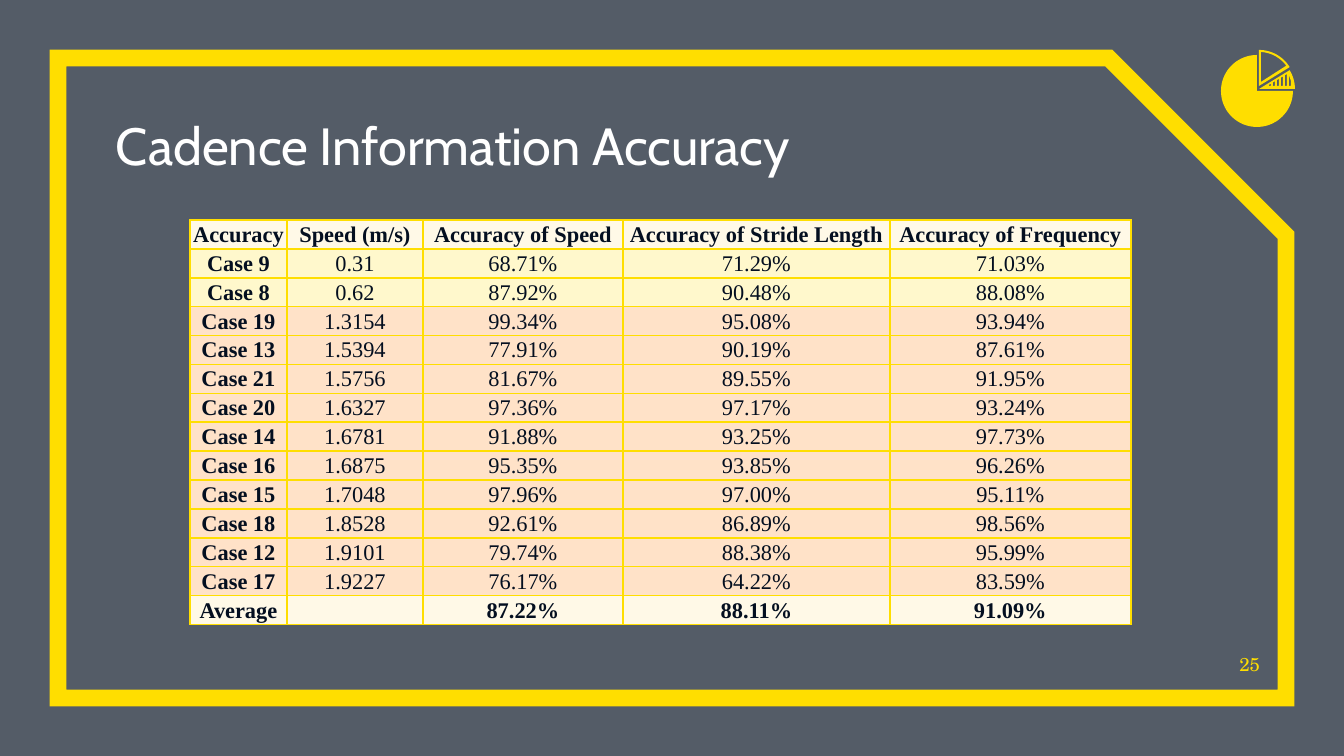
import math

import lxml.etree
import pptx
import pptx.dml.color
import pptx.enum.shapes
import pptx.enum.text
import pptx.oxml
import pptx.oxml.ns
import pptx.util

RGBColor = pptx.dml.color.RGBColor
MSO_SHAPE = pptx.enum.shapes.MSO_SHAPE
PP_ALIGN = pptx.enum.text.PP_ALIGN
MSO_ANCHOR = pptx.enum.text.MSO_ANCHOR
qn = pptx.oxml.ns.qn

EMU_PER_PX = 9144000 / 1344
WHITE = RGBColor(0xFF, 0xFF, 0xFF)
NAVY = RGBColor(0x04, 0x0F, 0x20)
YELLOW = RGBColor(0xFF, 0xDE, 0x00)
CREAM = RGBColor(0xFF, 0xF9, 0xE7)
LEMON = RGBColor(0xFF, 0xF8, 0xCC)
PEACH = RGBColor(0xFF, 0xE2, 0xC8)

TABLE_FONT = "Times New Roman"
COLUMN_WIDTHS = [97, 136, 200, 267, 241]
TABLE_HEIGHT = 405
ROWS = [
    ["Accuracy", "Speed (m/s)", "Accuracy of Speed", "Accuracy of Stride Length", "Accuracy of Frequency"],
    ["Case 9", "0.31", "68.71%", "71.29%", "71.03%"],
    ["Case 8", "0.62", "87.92%", "90.48%", "88.08%"],
    ["Case 19", "1.3154", "99.34%", "95.08%", "93.94%"],
    ["Case 13", "1.5394", "77.91%", "90.19%", "87.61%"],
    ["Case 21", "1.5756", "81.67%", "89.55%", "91.95%"],
    ["Case 20", "1.6327", "97.36%", "97.17%", "93.24%"],
    ["Case 14", "1.6781", "91.88%", "93.25%", "97.73%"],
    ["Case 16", "1.6875", "95.35%", "93.85%", "96.26%"],
    ["Case 15", "1.7048", "97.96%", "97.00%", "95.11%"],
    ["Case 18", "1.8528", "92.61%", "86.89%", "98.56%"],
    ["Case 12", "1.9101", "79.74%", "88.38%", "95.99%"],
    ["Case 17", "1.9227", "76.17%", "64.22%", "83.59%"],
    ["Average", "", "87.22%", "88.11%", "91.09%"],
]


def px(length):
    return pptx.util.Emu(round(length * EMU_PER_PX))


def add_xml(parent, body):
    """Append one DrawingML element, given without its namespace."""
    name, _, rest = body.partition(" ")
    namespace = pptx.oxml.ns.nsdecls("a")
    element = pptx.oxml.parse_xml(f"<a:{name} {namespace} {rest}")
    parent.append(element)
    return element


def write_text(paragraph, text, *, size, font, color, bold=False, align=PP_ALIGN.LEFT):
    paragraph.alignment = align
    run = paragraph.add_run()
    run.text = text
    run.font.size = pptx.util.Pt(size)
    run.font.name = font
    run.font.bold = bold
    run.font.color.rgb = color
    return run


def add_text(slide, box, text, **text_format):
    frame = slide.shapes.add_textbox(*map(px, box)).text_frame
    frame.word_wrap = True
    frame.vertical_anchor = MSO_ANCHOR.BOTTOM
    frame.margin_left = frame.margin_top = frame.margin_right = frame.margin_bottom = 0
    return write_text(frame.paragraphs[0], text, **text_format)


def add_text_shadow(run):
    fill = run.font._element.find(qn("a:solidFill"))
    shadow = lxml.etree.Element(qn("a:effectLst"))
    add_xml(shadow, 'outerShdw blurRad="38100" dist="38100" dir="2700000">'
                    '<a:srgbClr val="000000"><a:alpha val="43000"/></a:srgbClr></a:outerShdw>')
    fill.addnext(shadow)


def add_backdrop(slide):
    slide.background.fill.solid()
    slide.background.fill.fore_color.rgb = WHITE
    # Translucent tint over the white background
    tint = slide.shapes.add_shape(MSO_SHAPE.RECTANGLE, 0, 0, px(1344), px(756))
    tint.shadow.inherit = False
    tint.line.fill.background()
    tint.fill.solid()
    tint.fill.fore_color.rgb = NAVY
    add_xml(tint._element.spPr.find(qn("a:solidFill"))[0], 'alpha val="68000"/>')
    # Frame with a cut corner
    frame = slide.shapes.add_shape(MSO_SHAPE.SNIP_1_RECTANGLE, px(58), px(58), px(1228), px(640))
    frame.adjustments[0] = 0.277
    frame.shadow.inherit = False
    frame.fill.background()
    frame.line.color.rgb = YELLOW
    frame.line.width = pptx.util.Pt(9)
    add_xml(frame._element.spPr.find(qn("a:ln")), 'miter lim="800000"/>')


def arc(center, radius, start, end, steps=24):
    """Points on a circle; degrees run counterclockwise from the right."""
    angles = [math.radians(start + (end - start) * i / steps) for i in range(steps + 1)]
    return [(center[0] + radius * math.cos(a), center[1] - radius * math.sin(a)) for a in angles]


def add_outline(slide, contours):
    """Draw the first contour filled, with the others as holes."""
    scaled = [[(px(x), px(y)) for x, y in contour] for contour in contours]
    builder = slide.shapes.build_freeform(*scaled[0][0], scale=1.0)
    builder.add_line_segments(scaled[0][1:], close=True)
    for hole in scaled[1:]:
        builder.move_to(*hole[0])
        builder.add_line_segments(hole[1:], close=True)
    shape = builder.convert_to_shape()
    shape.shadow.inherit = False
    shape.fill.solid()
    shape.fill.fore_color.rgb = YELLOW
    shape.line.fill.background()
    return shape


def add_pie_icon(slide):
    radius, split = 36, 31.5
    disc, striped, hollow = (1257, 91), (1259, 89), (1259, 86)

    def stripe_top(x):
        dx = x - striped[0]
        return max(86 - 0.6 * (x - 1267), striped[1] - math.sqrt(33 ** 2 - dx ** 2))

    stripes = [[(x, 86), (x, stripe_top(x)), (x + 2, stripe_top(x + 2)), (x + 2, 86)]
               for x in range(1269, 1290, 4)]
    parts = [
        add_outline(slide, [[disc] + arc(disc, radius, 90, 360, steps=60)]),
        add_outline(slide, [[striped] + arc(striped, radius, 0, split)] + stripes),
        add_outline(slide, [[hollow] + arc(hollow, radius, split, 90),
                            [(1261, 82)] + arc(hollow, 34, 86.6, 36.5)]),
    ]
    slide.shapes.add_group_shape(parts)


def format_cell(cell, text, fill, bold):
    cell.margin_left = cell.margin_top = cell.margin_right = px(1)
    cell.margin_bottom = 0
    cell.vertical_anchor = MSO_ANCHOR.MIDDLE
    properties = cell._tc.get_or_add_tcPr()
    for side in ("lnL", "lnR", "lnT", "lnB"):
        add_xml(properties, f'{side} w="12700"><a:solidFill><a:srgbClr val="{YELLOW}"/>'
                            f'</a:solidFill></a:{side}>')
    cell.fill.solid()
    cell.fill.fore_color.rgb = fill
    paragraph = cell.text_frame.paragraphs[0]
    if text:
        write_text(paragraph, text, size=12, font=TABLE_FONT, color=NAVY, bold=bold,
                   align=PP_ALIGN.CENTER)
    else:
        add_xml(paragraph._p, 'endParaRPr sz="1200"/>')


def add_accuracy_table(slide):
    table = slide.shapes.add_table(len(ROWS), len(COLUMN_WIDTHS), px(190), px(220),
                                   px(sum(COLUMN_WIDTHS)), px(TABLE_HEIGHT)).table
    table.first_row = table.horz_banding = False
    for column, width in zip(table.columns, COLUMN_WIDTHS):
        column.width = px(width)
    fills = [CREAM] + [LEMON] * 2 + [PEACH] * 10 + [CREAM]
    for r, (values, fill) in enumerate(zip(ROWS, fills)):
        table.rows[r].height = px(TABLE_HEIGHT / len(ROWS))
        for c, value in enumerate(values):
            format_cell(table.cell(r, c), value, fill, bold=fill == CREAM or c == 0)


def main():
    presentation = pptx.Presentation()
    presentation.slide_width, presentation.slide_height = px(1344), px(756)
    slide = presentation.slides.add_slide(presentation.slide_layouts[6])
    add_backdrop(slide)
    # Title and slide number
    title = add_text(slide, (116, 105, 988, 71), "Cadence Information Accuracy",
                     size=28, font="Cabin", color=WHITE)
    add_text_shadow(title)
    add_text(slide, (1224, 637, 36, 38), "25", size=10, font="TeX Gyre Schola",
             color=YELLOW, align=PP_ALIGN.RIGHT)
    add_pie_icon(slide)
    add_accuracy_table(slide)
    presentation.save("out.pptx")


if __name__ == "__main__":
    main()
